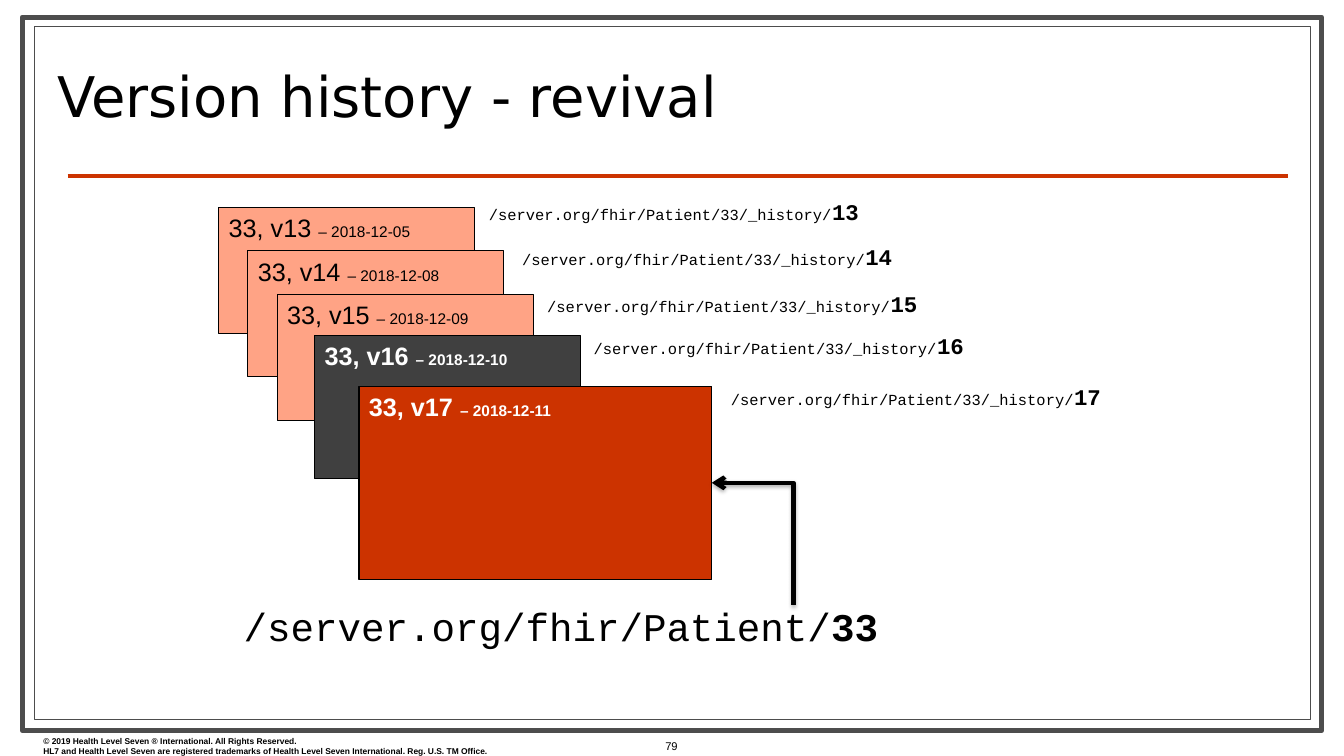
from lxml import etree
from pptx import Presentation
from pptx.dml.color import RGBColor
from pptx.enum.shapes import MSO_CONNECTOR, MSO_SHAPE
from pptx.enum.text import MSO_ANCHOR, PP_ALIGN
from pptx.oxml.ns import qn
from pptx.util import Inches, Pt

STRAIGHT, ELBOW = MSO_CONNECTOR.STRAIGHT, MSO_CONNECTOR.ELBOW
RECT = MSO_SHAPE.RECTANGLE
TOP, MIDDLE = MSO_ANCHOR.TOP, MSO_ANCHOR.MIDDLE
LEFT = PP_ALIGN.LEFT

WIDE, HIGH = Inches(13.33), Inches(7.5)
SANS, MONO, HEAD = "Arial", "Courier New", "DejaVu Sans"
HUES = {
    "white": "FFFFFF",
    "black": "000000",
    "frame": "4D4D4D",
    "past": "FFA385",
    "gone": "404040",
    "live": "CC3300",
}
BASE = "/server.org/fhir/Patient/"
STEP_X, STEP_Y = 2.17, 5.73


def hue(name):
    """Return the named colour."""
    return RGBColor.from_string(HUES[name])


def col(share):
    """Turn a percentage of the slide's width into a length."""
    return int(WIDE * share / 100)


def row(share):
    """Turn a percentage of the slide's height into a length."""
    return int(HIGH * share / 100)


def place(box):
    """Turn left, top, width and height shares into lengths."""
    x, y, w, h = box
    return col(x), row(y), col(w), row(h)


def style(run, size, face, tint="black", bold=False):
    """Set the font of a run."""
    font = run.font
    font.size, font.name, font.bold = Pt(size), face, bold
    font.color.rgb = hue(tint)


def write(para, parts, face, tint="black"):
    """Fill a paragraph with (text, size, bold) parts."""
    para.alignment = LEFT
    for text, size, bold in parts:
        run = para.add_run()
        run.text = text
        style(run, size, face, tint, bold)


def panel(slide, box, fill, edge, width):
    """Draw a plain rectangle."""
    shape = slide.shapes.add_shape(RECT, *place(box))
    shape.shadow.inherit = False
    shape.fill.solid()
    shape.fill.fore_color.rgb = hue(fill)
    shape.line.color.rgb = hue(edge)
    shape.line.width = Pt(width)
    return shape


def label(slide, box, lines, face, wrap=True):
    """Add a text box with one list of parts per line."""
    frame = slide.shapes.add_textbox(*place(box)).text_frame
    frame.word_wrap = wrap
    for i, parts in enumerate(lines):
        para = frame.add_paragraph() if i else frame.paragraphs[0]
        write(para, parts, face)


def stroke(slide, kind, ends, tint):
    """Draw a thick connector and return it with its effect list."""
    x1, y1, x2, y2 = ends
    line = slide.shapes.add_connector(kind, col(x1), row(y1), col(x2), row(y2))
    line.line.color.rgb = hue(tint)
    line.line.width = Pt(3)
    effect = etree.SubElement(line._element.spPr, qn("a:effectLst"))
    return line, effect


def bend(slide, ends):
    """Draw an arrow that goes up, then left, with a soft shadow."""
    line, effect = stroke(slide, ELBOW, ends, "black")
    mid_x, mid_y = line.left + line.width // 2, line.top + line.height // 2
    line.width, line.height = line.height, line.width
    line.left, line.top = mid_x - line.width // 2, mid_y - line.height // 2
    props = line._element.spPr
    turn = props.find(qn("a:xfrm"))
    turn.attrib.pop("flipH", None)
    turn.set("rot", "16200000")
    turn.set("flipV", "1")
    props.find(qn("a:prstGeom")).set("prst", "bentConnector2")
    etree.SubElement(props.find(qn("a:ln")), qn("a:tailEnd"), type="arrow")
    glow = etree.SubElement(effect, qn("a:outerShdw"), blurRad=str(Pt(3.1)),
                            dist=str(Pt(1.8)), dir="5400000", rotWithShape="0")
    tint = etree.SubElement(glow, qn("a:srgbClr"), val=HUES["black"])
    etree.SubElement(tint, qn("a:alpha"), val="35000")


def head(slide, text):
    """Format the title and lift it above the frame."""
    title = slide.shapes.title
    title.left, title.top, title.width, title.height = place((3.53, 4.8, 71.64, 17.2))
    frame = title.text_frame
    frame.text = text
    frame.vertical_anchor = MIDDLE
    para = frame.paragraphs[0]
    para.alignment, para.line_spacing = LEFT, 0.8
    style(para.runs[0], 40, HEAD)
    title.element.getparent().append(title.element)


def card(slide, box, num, day, fill):
    """Draw one version of the record."""
    old = fill == "past"
    frame = panel(slide, box, fill, "black", 0.75).text_frame
    frame.word_wrap, frame.vertical_anchor = True, TOP
    parts = [(f"33, v{num} ", 18, not old), (f"– 2018-12-{day}", 11, not old)]
    write(frame.paragraphs[0], parts, SANS, "black" if old else "white")


def main():
    """Build the slide."""
    deck = Presentation()
    deck.slide_width, deck.slide_height = WIDE, HIGH
    slide = deck.slides.add_slide(deck.slide_layouts[5])

    panel(slide, (1.65, 2.27, 96.7, 94.4), "white", "frame", 3.5)
    panel(slide, (2.55, 3.47, 94.97, 91.73), "white", "frame", 0.75)
    stroke(slide, STRAIGHT, (5.03, 23.33, 95.8, 23.33), "live")
    rights = (
        "© 2019 Health Level Seven ® International. All Rights Reserved.",
        "HL7 and Health Level Seven are registered trademarks of "
        "Health Level Seven International. Reg. U.S. TM Office.",
    )
    label(slide, (2.48, 96.67, 48.31, 4), [[(text, 6, True)] for text in rights], SANS)
    label(slide, (48.76, 97.2, 2.55, 3.2), [[("79", 8, False)]], SANS, False)
    head(slide, "Version history - revival")

    past = [(16.28 + i * STEP_X, 27.47 + i * STEP_Y, 19.05, 16.67) for i in range(3)]
    cards = [
        (past[0], "05", "past", (35.63, 25.6)),
        (past[1], "08", "past", (38.11, 31.47)),
        (past[2], "09", "past", (39.98, 37.73)),
        ((23.41, 44.4, 19.8, 18.93), "10", "gone", (43.44, 43.33)),
        ((26.71, 51.07, 26.26, 25.6), "11", "live", (53.64, 50)),
    ]
    for num, (box, day, fill, spot) in enumerate(cards, 13):
        card(slide, box, num, day, fill)
        link = [(f"{BASE}33/_history/", 11, False), (str(num), 16, True)]
        label(slide, (*spot, 34, 4.93), [link], MONO)

    label(slide, (17.4, 79.07, 51.61, 7.6), [[(BASE, 28, False), ("33", 28, True)]], MONO)
    bend(slide, (59.04, 80, 52.96, 63.87))
    deck.save("out.pptx")


if __name__ == "__main__":
    main()
